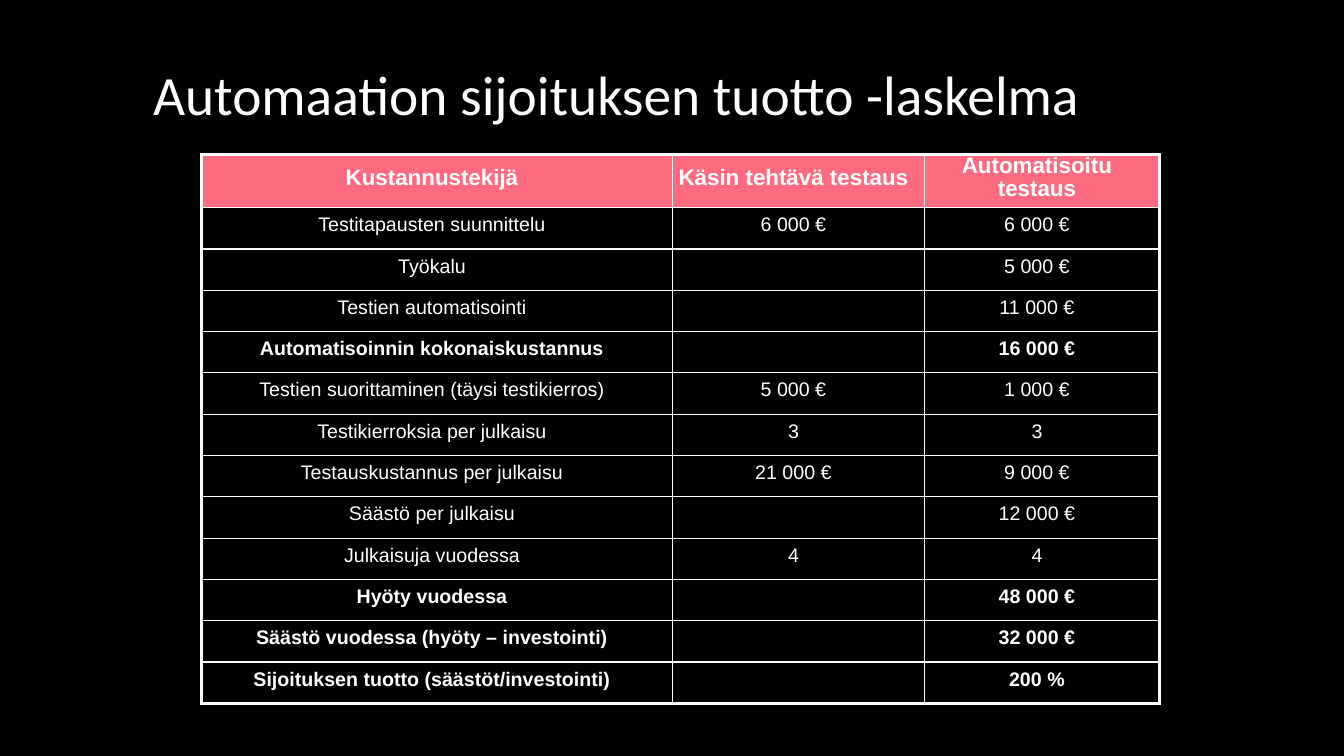
"""Build a slide with a table calculating the return on test automation."""
import pptx
import pptx.dml.color
import pptx.enum.text
import pptx.oxml
import pptx.oxml.ns
import pptx.util

Inches = pptx.util.Inches
Pt = pptx.util.Pt
RGBColor = pptx.dml.color.RGBColor
MIDDLE = pptx.enum.text.MSO_ANCHOR.MIDDLE
LEFT = pptx.enum.text.PP_ALIGN.LEFT
CENTER = pptx.enum.text.PP_ALIGN.CENTER

BLACK = RGBColor(0x00, 0x00, 0x00)
WHITE = RGBColor(0xFF, 0xFF, 0xFF)
PINK = RGBColor(0xFE, 0x6A, 0x80)

COLUMN_WIDTHS = [4.67, 2.5, 2.33]
HEADER_HEIGHT = 0.5
ROW_HEIGHT = 0.41
OUTER_LINE = 2.25
INNER_LINE = 1

COSTS = [
    ("Kustannustekijä", "Käsin tehtävä testaus", "Automatisoitu testaus"),
    ("Testitapausten suunnittelu", "6 000 €", "6 000 €"),
    ("Työkalu", "", "5 000 €"),
    ("Testien automatisointi", "", "11 000 €"),
    ("Automatisoinnin kokonaiskustannus", "", "16 000 €"),
    ("Testien suorittaminen (täysi testikierros)", "5 000 €", "1 000 €"),
    ("Testikierroksia per julkaisu", "3", "3"),
    ("Testauskustannus per julkaisu", "21 000 €", "9 000 €"),
    ("Säästö per julkaisu", "", "12 000 €"),
    ("Julkaisuja vuodessa", "4", "4"),
    ("Hyöty vuodessa", "", "48 000 €"),
    ("Säästö vuodessa (hyöty – investointi)", "", "32 000 €"),
    ("Sijoituksen tuotto (säästöt/investointi)", "", "200 %"),
]
BOLD_ROWS = {0, 4, 10, 11, 12}


def write(frame, text, size, font="Arial", bold=False, align=CENTER):
    """Write one formatted white paragraph into a text frame."""
    para = frame.paragraphs[0]
    para.alignment = align
    para.line_spacing = 0.9
    span = para.add_run()
    span.text = text
    span.font.name = font
    span.font.size = Pt(size)
    span.font.bold = bold
    span.font.color.rgb = WHITE


def add_border(cell, side, width):
    """Draw a white line along one side of a table cell."""
    cell._tc.get_or_add_tcPr().append(pptx.oxml.parse_xml(
        f'<a:ln{side} {pptx.oxml.ns.nsdecls("a")} w="{Pt(width)}">'
        f'<a:solidFill><a:srgbClr val="{WHITE}"/></a:solidFill></a:ln{side}>'))


deck = pptx.Presentation()
deck.slide_width = Inches(13.33)
deck.slide_height = Inches(7.5)
page = deck.slides.add_slide(deck.slide_layouts[6])
page.background.fill.solid()
page.background.fill.fore_color.rgb = BLACK

title = page.shapes.add_textbox(Inches(1.42), Inches(0.76), Inches(10.6), Inches(0.42))
title.text_frame.word_wrap = True
title.text_frame.vertical_anchor = MIDDLE
write(title.text_frame, "Automaation sijoituksen tuotto -laskelma",
      size=39.6, font="Calibri", align=LEFT)

last_row = len(COSTS) - 1
last_column = len(COLUMN_WIDTHS) - 1
table = page.shapes.add_table(
    len(COSTS), len(COLUMN_WIDTHS), Inches(2), Inches(1.53),
    Inches(sum(COLUMN_WIDTHS)), Inches(HEADER_HEIGHT + last_row * ROW_HEIGHT)).table
table.horz_banding = False
for column, width in zip(table.columns, COLUMN_WIDTHS):
    column.width = Inches(width)

for row_index, costs in enumerate(COSTS):
    is_header = row_index == 0
    table.rows[row_index].height = Inches(HEADER_HEIGHT if is_header else ROW_HEIGHT)
    for column_index, text in enumerate(costs):
        cell = table.cell(row_index, column_index)
        cell.vertical_anchor = MIDDLE
        cell.margin_left = cell.margin_top = 0
        cell.margin_right = Inches(0.1)
        cell.margin_bottom = Inches(0.05)
        outer_sides = {"L": column_index == 0, "R": column_index == last_column,
                       "T": is_header, "B": row_index == last_row}
        for side, is_outer in outer_sides.items():
            add_border(cell, side, OUTER_LINE if is_outer else INNER_LINE)
        if is_header:
            cell.fill.solid()
            cell.fill.fore_color.rgb = PINK
        else:
            cell.fill.background()
        if text:
            write(cell.text_frame, text, size=16 if is_header else 14,
                  bold=row_index in BOLD_ROWS)

deck.save("out.pptx")
